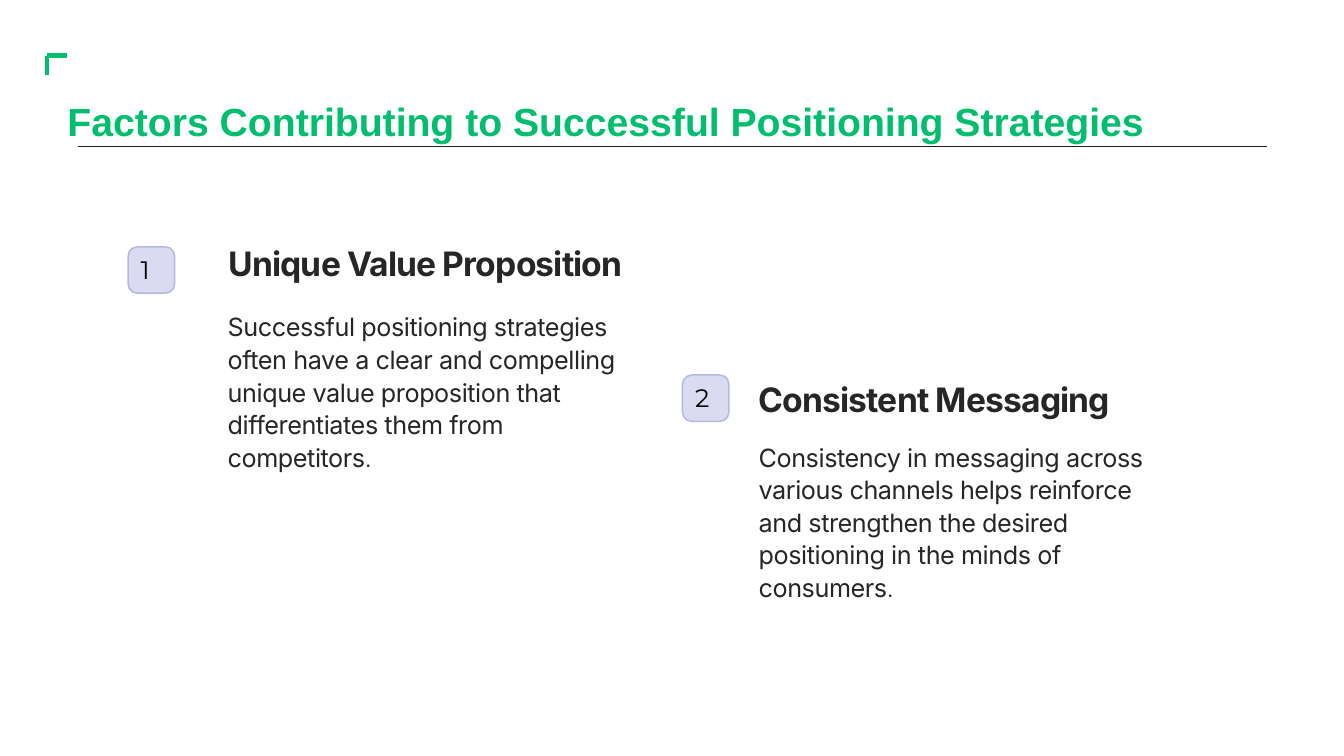
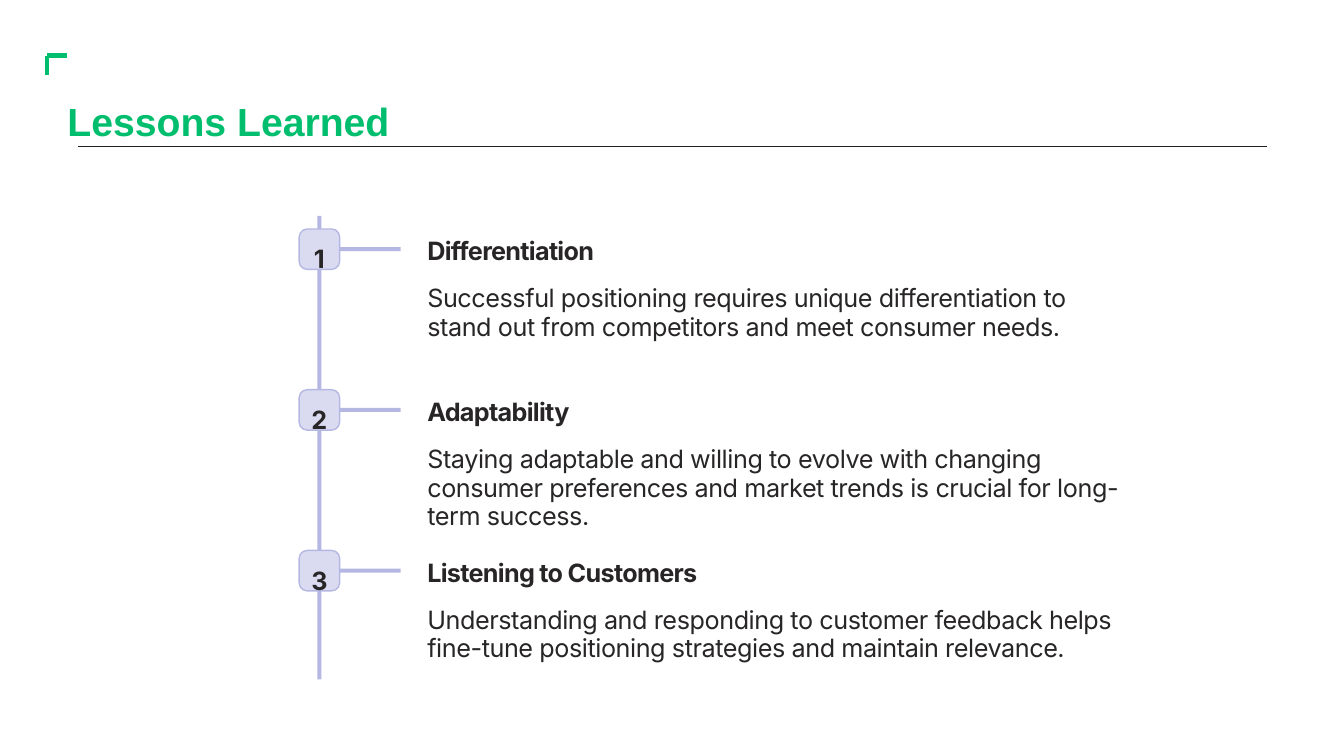
from lxml import etree
from pptx import Presentation
from pptx.dml.color import RGBColor
from pptx.enum.shapes import MSO_CONNECTOR, MSO_SHAPE
from pptx.enum.text import MSO_ANCHOR, MSO_AUTO_SIZE, PP_ALIGN
from pptx.oxml.ns import qn
from pptx.util import Cm, Pt

STRAIGHT = MSO_CONNECTOR.STRAIGHT
RECTANGLE, ROUNDED = MSO_SHAPE.RECTANGLE, MSO_SHAPE.ROUNDED_RECTANGLE
LEFT, CENTER = PP_ALIGN.LEFT, PP_ALIGN.CENTER
TOP, MIDDLE = MSO_ANCHOR.TOP, MSO_ANCHOR.MIDDLE

COLORS = {
    "green": "00BE6D",
    "rule": "231F20",
    "ink": "272525",
    "black": "000000",
    "lilac": "DADBF1",
    "violet": "B5B7E3",
}
RGB = {name: RGBColor.from_string(value) for name, value in COLORS.items()}

STYLES = {
    "title": {"font": {"name": "Arial", "size": Pt(28), "bold": True}, "color": "green", "leading": 45.6},
    "factor_number": {"font": {"name": "Montserrat", "size": Pt(18)}, "color": "black"},
    "factor_heading": {"font": {"name": "Inter", "size": Pt(24), "bold": True}, "leading": 22.8, "tracking": -60},
    "factor_body": {"font": {"name": "Inter", "size": Pt(18)}, "leading": 23.3, "tracking": -30},
    "lesson_number": {
        "font": {"name": "Inter", "size": Pt(18), "bold": True},
        "leading": 23.9,
        "tracking": -30,
        "align": CENTER,
    },
    "lesson_heading": {"font": {"name": "Inter", "size": Pt(18), "bold": True}, "leading": 19.9, "tracking": -50},
    "lesson_body": {"font": {"name": "Inter", "size": Pt(18)}, "leading": 20.4, "tracking": -30},
}


def write(frame, text, style_name, wrap=True):
    style = STYLES[style_name]
    frame.word_wrap = wrap
    paragraph = frame.paragraphs[0]
    paragraph.alignment = style.get("align", LEFT)
    if "leading" in style:
        paragraph.line_spacing = Pt(style["leading"])
    run = paragraph.add_run()
    run.text = text
    for attribute, value in style["font"].items():
        setattr(run.font, attribute, value)
    run.font.color.rgb = RGB[style.get("color", "ink")]
    if "tracking" in style:
        run.font._element.set("spc", str(style["tracking"]))


def add_block(slide, kind, left, top, width, height, fill, outline=None):
    block = slide.shapes.add_shape(kind, Cm(left), Cm(top), Cm(width), Cm(height))
    block.shadow.inherit = False
    block.fill.solid()
    block.fill.fore_color.rgb = RGB[fill]
    if outline:
        block.adjustments[0] = 0.2
        block.line.color.rgb = RGB["violet"]
        block.line.width = Pt(outline)
        block.text_frame.vertical_anchor = TOP
    else:
        block.line.fill.background()
    return block


deck = Presentation()
deck.slide_width, deck.slide_height = Cm(33.87), Cm(19.05)
layout = deck.slide_layouts[5]

layout_title = layout.placeholders[0]
title_place = {"left": Cm(1.7), "top": Cm(1.98), "width": Cm(27.71), "height": Cm(1.68)}
for attribute, value in title_place.items():
    setattr(layout_title, attribute, value)
title_format = {
    "vertical_anchor": MIDDLE,
    "auto_size": MSO_AUTO_SIZE.NONE,
    "margin_left": 0,
    "margin_top": Cm(0.03),
    "margin_right": 0,
    "margin_bottom": 0,
}
for attribute, value in title_format.items():
    setattr(layout_title.text_frame, attribute, value)

factors_slide, lessons_slide = [deck.slides.add_slide(layout) for _ in range(2)]
write(factors_slide.shapes.title.text_frame, "Factors Contributing to Successful Positioning Strategies", "title")
write(lessons_slide.shapes.title.text_frame, "Lessons Learned", "title")

shared_lines = [
    (1.19, 1.4, 1.7, 1.4, "green", 3),
    (1.19, 1.9, 1.19, 1.4, "green", 3),
    (1.96, 3.68, 31.93, 3.68, "rule", 0.25),
]
for number, (x1, y1, x2, y2, color, weight) in enumerate(shared_lines):
    line = factors_slide.shapes.add_connector(STRAIGHT, Cm(x1), Cm(y1), Cm(x2), Cm(y2))
    line.line.color.rgb = RGB[color]
    line.line.width = Pt(weight)
    etree.SubElement(line._element.spPr, qn("a:effectLst"))
    line._element.xpath(".//p:cNvPr")[0].set("id", str(100 + number))
    layout.shapes._spTree.append(line._element)

factors = [
    {
        "badge": (3.23, 6.22),
        "heading_at": (5.51, 6.22),
        "body_at": (5.49, 7.67),
        "heading": "Unique Value Proposition",
        "body": "Successful positioning strategies often have a clear and compelling unique value "
        "proposition that differentiates them from competitors",
    },
    {
        "badge": (17.2, 9.45),
        "heading_at": (18.87, 9.63),
        "body_at": (18.87, 10.95),
        "heading": "Consistent Messaging",
        "body": "Consistency in messaging across various channels helps reinforce and strengthen "
        "the desired positioning in the minds of consumers",
    },
]
for number, factor in enumerate(factors, 1):
    badge = add_block(factors_slide, ROUNDED, *factor["badge"], 1.17, 1.17, "lilac", 1.09)
    write(badge.text_frame, str(number), "factor_number")
    left, top = factor["heading_at"]
    heading = factors_slide.shapes.add_textbox(Cm(left), Cm(top), Cm(10.5), Cm(0.81))
    write(heading.text_frame, factor["heading"], "factor_heading", wrap=False)
    left, top = factor["body_at"]
    body = factors_slide.shapes.add_textbox(Cm(left), Cm(top), Cm(10.29), Cm(4.4))
    write(body.text_frame, factor["body"], "factor_body")
    write(body.text_frame, ".", "factor_body")
    body.text_frame.paragraphs[0].runs[-1].font.size = Pt(14.6)

lessons = [
    (
        "Differentiation",
        "Successful positioning requires unique differentiation to stand out from competitors "
        "and meet consumer needs.",
    ),
    (
        "Adaptability",
        "Staying adaptable and willing to evolve with changing consumer preferences and market "
        "trends is crucial for long-term success.",
    ),
    (
        "Listening to Customers",
        "Understanding and responding to customer feedback helps fine-tune positioning "
        "strategies and maintain relevance.",
    ),
]
lesson_pitch = 4.05
add_block(lessons_slide, RECTANGLE, 8, 5.44, 0.1, 11.68, "violet")
for index, (heading_text, body_text) in enumerate(lessons):
    top = 5.77 + index * lesson_pitch
    add_block(lessons_slide, RECTANGLE, 8.53, top + 0.46, 1.57, 0.1, "violet")
    badge = add_block(lessons_slide, ROUNDED, 7.54, top, 1.02, 1.02, "lilac", 0.95)
    badge.text_frame.margin_top = Cm(0.23)
    badge.text_frame.margin_bottom = 0
    badge.text_frame.margin_left = badge.text_frame.margin_right = 0
    write(badge.text_frame, str(index + 1), "lesson_number")
    heading = lessons_slide.shapes.add_textbox(Cm(10.52), Cm(top + 0.1), Cm(18.21), Cm(0.95))
    write(heading.text_frame, heading_text, "lesson_heading", wrap=False)
    body = lessons_slide.shapes.add_textbox(Cm(10.52), Cm(top + 1.27), Cm(18.21), Cm(2.4))
    write(body.text_frame, body_text, "lesson_body")

deck.save("out.pptx")
